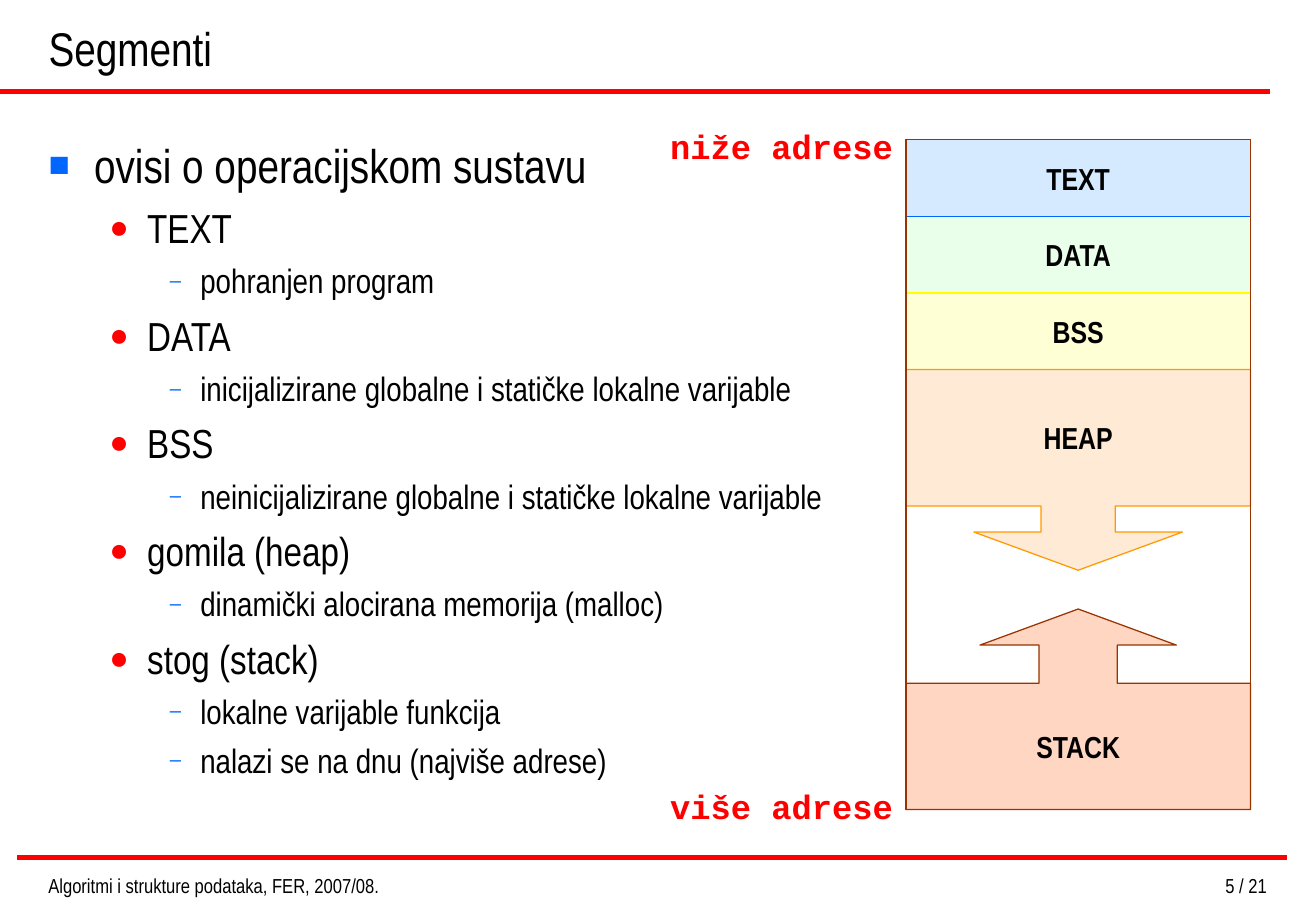
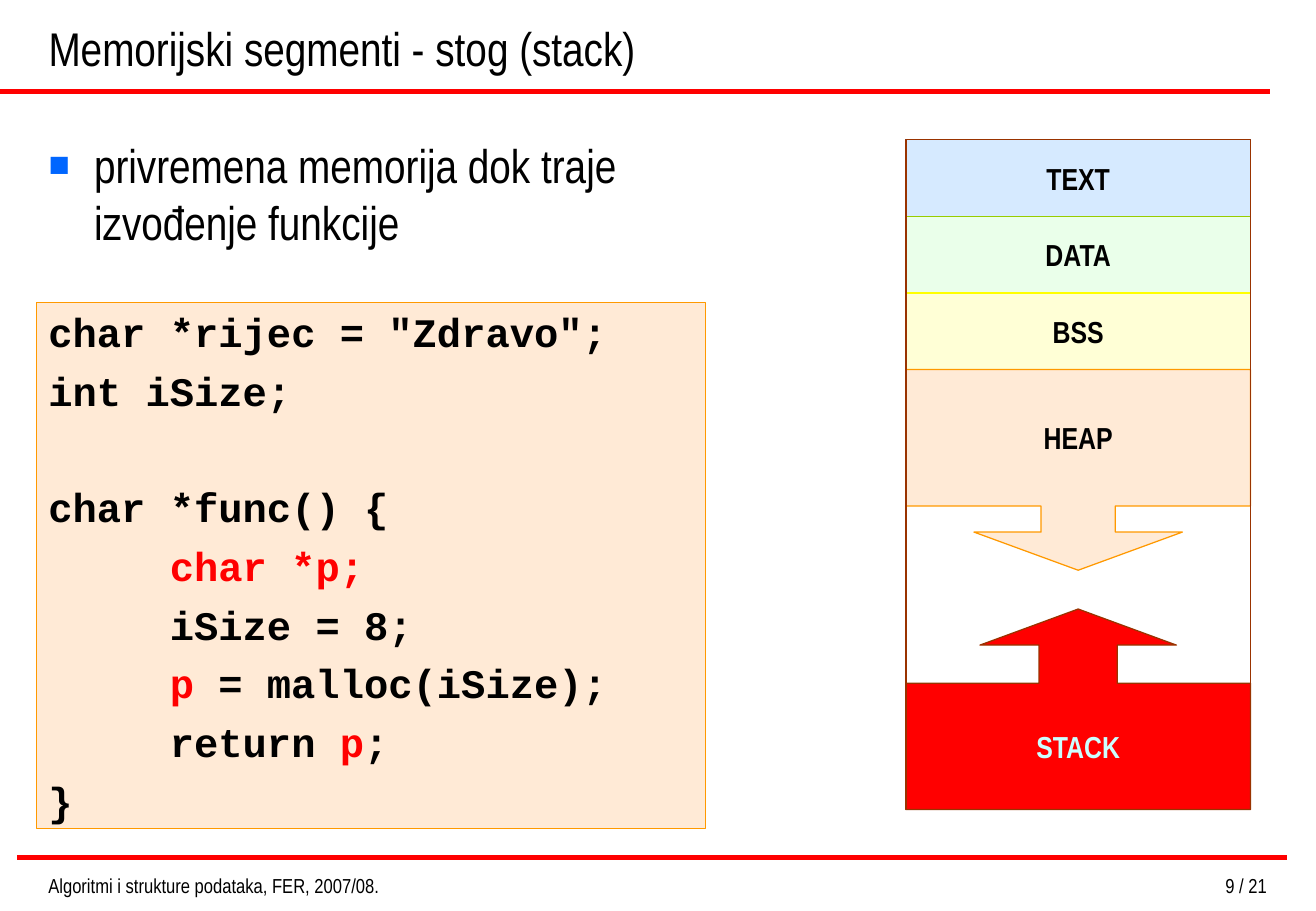
from dataclasses import dataclass, replace
from typing import NamedTuple

from lxml.etree import SubElement
from pptx import Presentation
from pptx.dml.color import RGBColor
from pptx.enum.shapes import MSO_CONNECTOR, MSO_SHAPE as Preset
from pptx.enum.text import MSO_ANCHOR as Anchor, MSO_AUTO_SIZE, PP_ALIGN as Align
from pptx.oxml.ns import qn
from pptx.util import Pt

# Palette and fonts
BLACK = RGBColor(0x00, 0x00, 0x00)
RED = RGBColor(0xFF, 0x00, 0x00)
BLUE = RGBColor(0x00, 0x66, 0xFF)
SKY = RGBColor(0x99, 0xCC, 0xFF)
MINT = RGBColor(0xCC, 0xFF, 0xCC)
GREEN = RGBColor(0x99, 0xCC, 0x00)
CREAM = RGBColor(0xFF, 0xFF, 0x99)
YELLOW = RGBColor(0xFF, 0xFF, 0x00)
PEACH = RGBColor(0xFF, 0xCC, 0x99)
ORANGE = RGBColor(0xFF, 0x99, 0x00)
CORAL = RGBColor(0xFF, 0x99, 0x66)
BROWN = RGBColor(0x99, 0x33, 0x00)
ICE = RGBColor(0xCC, 0xFF, 0xFF)
SANS = "Arial Narrow"
MONO = "Courier New"

# Layout, in points
SLIDE_WIDTH, SLIDE_HEIGHT = 780.48, 540
MARGIN = 21.6
MAP_LEFT, MAP_TOP, MAP_WIDTH, MAP_HEIGHT = 537.3, 82.9, 204.3, 397
BAND, CALLOUT = 45.4, 118.9
PAGE_COUNT = 21
COURSE = "Algoritmi i strukture podataka, FER, 2007/08."


class Box(NamedTuple):
    left: float
    top: float
    width: float
    height: float


class Level(NamedTuple):
    size: float
    margin: float
    hanging: float
    before: float
    bullet: str
    color: RGBColor
    percent: int


@dataclass(frozen=True)
class Segment:
    name: str
    top: float
    height: float
    fill: RGBColor
    line: RGBColor
    preset: Preset = Preset.RECTANGLE
    adjustments: tuple[float, ...] = ()
    opacity: int = 40
    text_color: RGBColor = BLACK


LEVELS = (
    Level(28, 27, 27, 7, "■", BLUE, 75),
    Level(24, 58.5, 22.5, 6, "●", RED, 80),
    Level(20, 90, 18, 5, "–", BLUE, 60),
)
TEXT = Segment("TEXT", MAP_TOP, BAND, SKY, BLUE)
DATA = Segment("DATA", MAP_TOP + BAND, BAND, MINT, GREEN)
BSS = Segment("BSS", MAP_TOP + 2 * BAND, BAND, CREAM, YELLOW)
HEAP = Segment("HEAP", MAP_TOP + 3 * BAND, CALLOUT, PEACH, ORANGE,
               Preset.DOWN_ARROW_CALLOUT, (0.37, 0.52, 0.19, 0.68))
STACK = Segment("STACK", MAP_TOP + MAP_HEIGHT - CALLOUT, CALLOUT, CORAL, BROWN,
                Preset.UP_ARROW_CALLOUT, (0.39, 0.49, 0.18, 0.63))
ACTIVE_STACK = replace(STACK, fill=RED, opacity=100, text_color=ICE)

SEGMENT_LIST = (
    (0, "ovisi o operacijskom sustavu"),
    (1, "TEXT"),
    (2, "pohranjen program"),
    (1, "DATA"),
    (2, "inicijalizirane globalne i statičke lokalne varijable"),
    (1, "BSS"),
    (2, "neinicijalizirane globalne i statičke lokalne varijable"),
    (1, "gomila (heap)"),
    (2, "dinamički alocirana memorija (malloc)"),
    (1, "stog (stack)"),
    (2, "lokalne varijable funkcija"),
    (2, "nalazi se na dnu (najviše adrese)"),
)
STACK_LIST = ((0, "privremena memorija dok traje\vizvođenje funkcije"),)

# Code lines: space before, then runs with their colours
CODE = (
    (0, (('char *rijec = "Zdravo";', BLACK),)),
    (6, (("int iSize;", BLACK),)),
    (40, (("char *func() {", BLACK),)),
    (6, (("     ", BLACK), ("char *p;", RED))),
    (6, (("     iSize = 8;", BLACK),)),
    (6, (("     ", BLACK), ("p", RED), (" = malloc(iSize);", BLACK))),
    (6, (("     return ", BLACK), ("p", RED), (";", BLACK))),
    (6, (("}", BLACK),)),
)


def points(box: Box) -> list[Pt]:
    return [Pt(value) for value in box]


def set_font(para, name: str, size: float, color: RGBColor = BLACK, bold: bool = False) -> None:
    font = para.font
    font.name, font.size, font.bold = name, Pt(size), bold
    font.color.rgb = color


def place(shape, box: Box) -> None:
    shape.left, shape.top, shape.width, shape.height = points(box)


def add_rule(page, left: float, top: float) -> None:
    rule = page.shapes.add_connector(
        MSO_CONNECTOR.STRAIGHT, Pt(left), Pt(top), Pt(left + 753), Pt(top))
    rule.line.color.rgb = RED
    rule.line.width = Pt(3)
    SubElement(rule._element.spPr, qn("a:effectLst"))


def add_label(page, box: Box, text: str, size: float, align: Align = Align.LEFT,
              name: str = SANS, color: RGBColor = BLACK, bold: bool = False,
              wrap: bool = True) -> None:
    frame = page.shapes.add_textbox(*points(box)).text_frame
    frame.word_wrap = wrap
    para = frame.paragraphs[0]
    para.text, para.alignment = text, align
    set_font(para, name, size, color, bold)


def add_panel(page, box: Box, line: RGBColor, fill: RGBColor | None = None,
              opacity: int = 40, preset: Preset = Preset.RECTANGLE):
    panel = page.shapes.add_shape(preset, *points(box))
    panel.shadow.inherit = False
    panel.line.color.rgb = line
    panel.line.width = Pt(0.75)
    if fill is None:
        panel.fill.background()
        return panel
    panel.fill.solid()
    panel.fill.fore_color.rgb = fill
    if opacity < 100:
        color = panel._element.spPr.find(qn("a:solidFill"))[0]
        SubElement(color, qn("a:alpha"), val=str(opacity * 1000))
    panel.text_frame.vertical_anchor = Anchor.MIDDLE
    return panel


def add_bullet(para, level: Level) -> None:
    props = para._p.get_or_add_pPr()
    props.set("marL", str(Pt(level.margin)))
    props.set("indent", str(-Pt(level.hanging)))
    color = SubElement(props, qn("a:buClr"))
    SubElement(color, qn("a:srgbClr"), val=str(level.color))
    SubElement(props, qn("a:buSzPct"), val=str(level.percent * 1000))
    SubElement(props, qn("a:buFont"), typeface="Arial")
    SubElement(props, qn("a:buChar"), char=level.bullet)


def fill_list(body, items: tuple[tuple[int, str], ...]) -> None:
    place(body, Box(MARGIN, 77.2, 737.3, 419.8))
    frame = body.text_frame
    frame.auto_size = MSO_AUTO_SIZE.NONE
    for index, (depth, text) in enumerate(items):
        para = frame.add_paragraph() if index else frame.paragraphs[0]
        level = LEVELS[depth]
        para.text, para.level = text, depth
        add_bullet(para, level)
        para.space_before = Pt(level.before if index else 0)
        set_font(para, SANS, level.size)


def add_memory_map(page, segments: tuple[Segment, ...]) -> None:
    for segment in segments:
        box = Box(MAP_LEFT, segment.top, MAP_WIDTH, segment.height)
        panel = add_panel(page, box, segment.line, segment.fill,
                          segment.opacity, segment.preset)
        for index, value in enumerate(segment.adjustments):
            panel.adjustments[index] = value
        para = panel.text_frame.paragraphs[0]
        para.text, para.alignment = segment.name, Align.CENTER
        set_font(para, SANS, 18, segment.text_color, bold=True)
    add_panel(page, Box(MAP_LEFT, MAP_TOP, MAP_WIDTH, MAP_HEIGHT), BROWN)


def add_code(page) -> None:
    panel = add_panel(page, Box(MARGIN, 179.5, 396.7, 311.8), ORANGE, PEACH)
    frame = panel.text_frame
    frame.word_wrap = True
    for index, (before, runs) in enumerate(CODE):
        para = frame.add_paragraph() if index else frame.paragraphs[0]
        para.alignment = Align.LEFT
        para.space_before = Pt(before)
        set_font(para, MONO, 24, bold=True)
        for text, color in runs:
            span = para.add_run()
            span.text = text
            span.font.color.rgb = color


def add_page(deck, title: str, number: int, items: tuple[tuple[int, str], ...]):
    """Add a page with its title, rules, list and footer."""
    page = deck.slides.add_slide(deck.slide_layouts[1])
    add_rule(page, 0, 54.4)
    add_rule(page, 10.1, 508.5)

    heading = page.shapes.title
    place(heading, Box(MARGIN, 0, 731.5, 48.6))
    frame = heading.text_frame
    frame.auto_size = MSO_AUTO_SIZE.NONE
    frame.vertical_anchor = Anchor.BOTTOM
    para = frame.paragraphs[0]
    para.text, para.alignment = title, Align.LEFT
    set_font(para, SANS, 28)

    fill_list(page.placeholders[1], items)
    add_label(page, Box(MARGIN, 514.4, 272, 17.3), COURSE, 12)
    add_label(page, Box(559, 514.4, 199.5, 17.3), f"{number} / {PAGE_COUNT}", 12, Align.RIGHT)
    return page


def main() -> None:
    deck = Presentation()
    deck.slide_width = Pt(SLIDE_WIDTH)
    deck.slide_height = Pt(SLIDE_HEIGHT)

    # Overview of the segments
    page = add_page(deck, "Segmenti", 5, SEGMENT_LIST)
    add_memory_map(page, (DATA, BSS, HEAP, STACK, TEXT))
    for text, top in (("niže adrese", 71.3), ("više adrese", 462.2)):
        add_label(page, Box(390, top, 146.9, 31.7), text, 20, Align.RIGHT,
                  MONO, RED, bold=True, wrap=False)

    # The stack, with sample code
    page = add_page(deck, "Memorijski segmenti - stog (stack)", 9, STACK_LIST)
    add_memory_map(page, (TEXT, DATA, BSS, HEAP, ACTIVE_STACK))
    add_code(page)

    deck.save("out.pptx")


if __name__ == "__main__":
    main()
